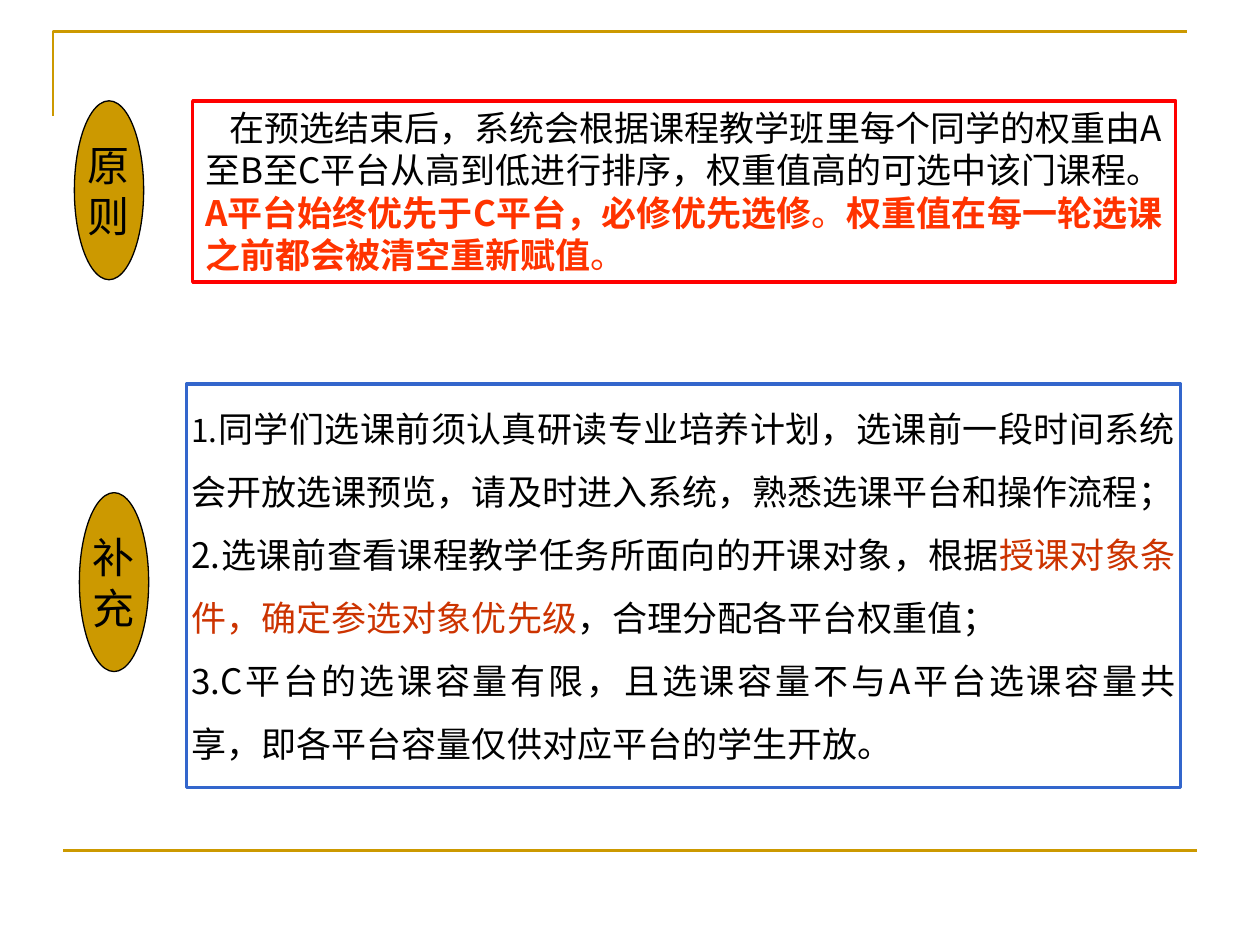
from dataclasses import dataclass

import pptx
import pptx.dml.color
import pptx.enum.shapes
import pptx.enum.text
import pptx.oxml
import pptx.oxml.ns
import pptx.util

ALIGN = pptx.enum.text.PP_ALIGN
SHAPES = pptx.enum.shapes.MSO_SHAPE


@dataclass(frozen=True)
class Theme:
    gold: str = "CC9900"
    ink: str = "000000"
    rule_frame: str = "FF0000"
    note_frame: str = "3366CC"
    warning: str = "FF3300"
    emphasis: str = "CC3300"
    body_font: str = "Noto Sans CJK SC"
    label_font: str = "Arial"
    label_size: int = 24
    body_size: int = 20
    number_size: int = 18


THEME = Theme()
WIDTH, HEIGHT = 10, 7.5
LABEL_SIZE = (0.55, 1.42)


def inches(*lengths):
    return [pptx.util.Inches(length) for length in lengths]


def rgb(value):
    return pptx.dml.color.RGBColor.from_string(value)


def add_text(paragraph, text, font=THEME.body_font, size=THEME.body_size,
             color=THEME.ink, bold=False):
    run = paragraph.add_run()
    run.text = text
    run.font.name, run.font.size = font, pptx.util.Pt(size)
    run.font.bold = bold
    run.font.color.rgb = rgb(color)
    east_asian = pptx.oxml.parse_xml(
        f'<a:ea {pptx.oxml.ns.nsdecls("a")} typeface="{font}"/>')
    run.font._element.find(pptx.oxml.ns.qn("a:latin")).addnext(east_asian)


def set_line(shape, color, width):
    shape.line.color.rgb = rgb(color)
    shape.line.width = pptx.util.Pt(width)


def add_panel(slide, kind, box, paragraphs, line, fill=None, margins=(0.1, 0.05),
              align=ALIGN.LEFT, spacing=None, indent=0, wrap=True,
              anchor=pptx.enum.text.MSO_ANCHOR.TOP):
    """Outlined shape; each paragraph is a list of (text, format) pairs."""
    panel = slide.shapes.add_shape(kind, *inches(*box))
    panel.shadow.inherit = False
    if fill:
        panel.fill.solid()
        panel.fill.fore_color.rgb = rgb(fill)
    else:
        panel.fill.background()
    set_line(panel, *line)
    frame = panel.text_frame
    frame.word_wrap, frame.vertical_anchor = wrap, anchor
    side, end = inches(*margins)
    frame.margin_left = frame.margin_right = side
    frame.margin_top = frame.margin_bottom = end
    for index, pieces in enumerate(paragraphs):
        paragraph = frame.paragraphs[0] if index == 0 else frame.add_paragraph()
        paragraph.alignment = align
        if spacing:
            paragraph.line_spacing = spacing
        properties = paragraph._p.get_or_add_pPr()
        properties.set("hangingPunct", "0")  # keeps commas inside the frame
        if indent:
            properties.set("indent", str(pptx.util.Inches(indent)))
        for text, style in pieces:
            add_text(paragraph, text, **style)


def add_label(slide, left, top, word):
    """Gold ellipse with one character to a line."""
    style = dict(font=THEME.label_font, size=THEME.label_size)
    add_panel(slide, SHAPES.OVAL, (left, top, *LABEL_SIZE),
              [[(character, style)] for character in word],
              line=(THEME.ink, 0.75), fill=THEME.gold, align=ALIGN.CENTER,
              wrap=False, anchor=pptx.enum.text.MSO_ANCHOR.MIDDLE)


def add_border(slide, left, top, width, drop):
    """Corner line at the top and a straight line near the foot."""
    corner = slide.shapes.build_freeform(*inches(left, top + drop), scale=1.0)
    corner.add_line_segments(
        [inches(left, top), inches(left + width, top)], close=False)
    outline = corner.convert_to_shape()
    outline.shadow.inherit = False
    outline.fill.background()
    set_line(outline, THEME.gold, 1.5)

    margin, foot = WIDTH * 0.05, HEIGHT * 0.9
    footer = slide.shapes.add_connector(
        pptx.enum.shapes.MSO_CONNECTOR.STRAIGHT,
        *inches(margin, foot, WIDTH - margin, foot))
    set_line(footer, THEME.gold, 1.5)
    footer._element.spPr.append(
        pptx.oxml.parse_xml(f'<a:effectLst {pptx.oxml.ns.nsdecls("a")}/>'))


def add_principle(slide, left, top, width, height):
    warning = dict(color=THEME.warning)
    strong = dict(color=THEME.warning, bold=True)
    add_panel(slide, SHAPES.RECTANGLE, (left, top, width, height), [[
        ("在预选结束后，系统会根据课程教学班里每个同学的权重由A至B至C平台"
         "从高到低进行排序，权重值高的可选中该门课程。", {}),
        ("A平台始终优先于C平台，必修优先选修", strong),
        ("。", warning),
        ("权重值在每一轮选课之前都会被清空重新赋值", strong),
        ("。", warning),
    ]], line=(THEME.rule_frame, 2), indent=0.19)
    add_label(slide, left - 0.94, top, "原则")


def add_supplement(slide, left, top, width, height):
    add_panel(slide, SHAPES.RECTANGLE, (left, top, width, height), [
        [("1.", dict(size=THEME.number_size)),
         ("同学们选课前须认真研读专业培养计划，选课前一段时间系统会开放选课预览，"
          "请及时进入系统，熟悉选课平台和操作流程；", {})],
        [("2.选课前查看课程教学任务所面向的开课对象，根据", {}),
         ("授课对象条件，确定参选对象优先级", dict(color=THEME.emphasis)),
         ("，合理分配各平台权重值；", {})],
        [("3.C平台的选课容量有限，且选课容量不与A平台选课容量共享，"
          "即各平台容量仅供对应平台的学生开放。", {})],
    ], line=(THEME.note_frame, 2), margins=(0.04, 0.02),
        align=ALIGN.JUSTIFY, spacing=1.5)
    add_label(slide, left - 0.85, top + (height - LABEL_SIZE[1]) / 2 - 0.03, "补充")


def main():
    deck = pptx.Presentation()
    deck.slide_width, deck.slide_height = inches(WIDTH, HEIGHT)
    slide = deck.slides.add_slide(deck.slide_layouts[6])
    add_border(slide, 0.42, 0.25, 9, 0.67)
    add_principle(slide, 1.53, 0.8, 7.8, 1.44)
    add_supplement(slide, 1.48, 3.05, 7.89, 3.2)
    deck.save("out.pptx")


if __name__ == "__main__":
    main()
